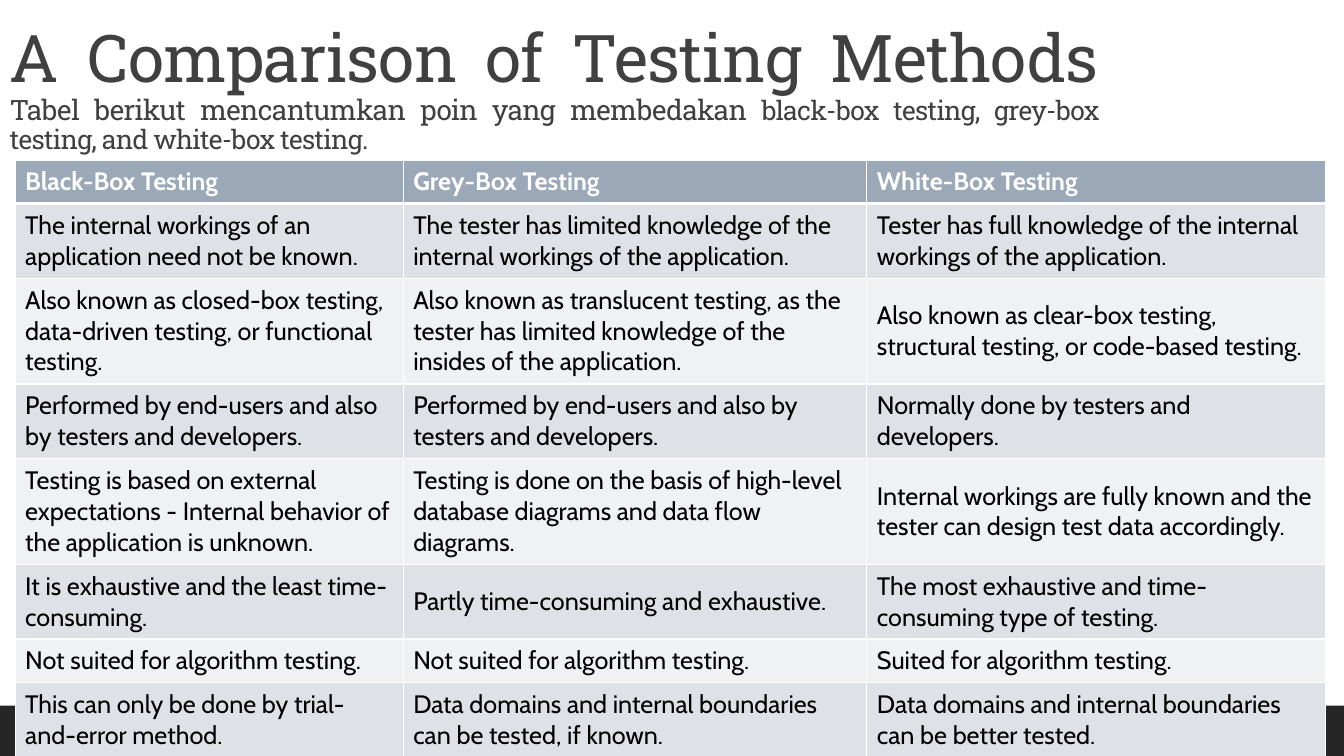
from lxml import etree
from pptx import Presentation
from pptx.dml.color import RGBColor
from pptx.enum.shapes import MSO_SHAPE as Shape
from pptx.enum.text import MSO_ANCHOR as Anchor, PP_ALIGN as Align
from pptx.oxml.ns import qn
from pptx.util import Inches, Pt

COLUMNS, ROWS = 80, 45
UNIT = Inches(1) / 6  # one grid column or row

WHITE = RGBColor(0xFF, 0xFF, 0xFF)
BLACK = RGBColor(0x00, 0x00, 0x00)
TITLE_GREY = RGBColor(0x40, 0x40, 0x40)
BAR_GREY = RGBColor(0x26, 0x26, 0x26)
HEADER_BLUE = RGBColor(0x9B, 0xA8, 0xB7)
BANDS = (RGBColor(0xEF, 0xF1, 0xF3), RGBColor(0xDE, 0xE1, 0xE6))

TITLE_LINES = [
    [("A Comparison of Testing Methods", 47)],
    [("Tabel berikut mencantumkan poin yang membedakan ", 20),
     ("black-box testing, grey-box testing, and white-box testing.", 19)],
]

COLUMN_WIDTHS = (23.1, 27.6, 27.3)
FIRST_LINE, EXTRA_LINE = 2.58, 1.86

# Each row: the number of text lines it holds, then its three cells
COMPARISON = [
    (1, "Black-Box Testing", "Grey-Box Testing", "White-Box Testing"),
    (2, "The internal workings of an application need not be known.",
     "The tester has limited knowledge of the internal workings of the application.",
     "Tester has full knowledge of the internal workings of the application."),
    (3, "Also known as closed-box testing, data-driven testing, or functional testing.",
     "Also known as translucent testing, as the tester has limited knowledge of the "
     "insides of the application.",
     "Also known as clear-box testing, structural testing, or code-based testing."),
    (2, "Performed by end-users and also by testers and developers.",
     "Performed by end-users and also by testers and developers.",
     "Normally done by testers and developers."),
    (3, "Testing is based on external expectations - Internal behavior of the "
     "application is unknown.",
     "Testing is done on the basis of high-level database diagrams and data flow diagrams.",
     "Internal workings are fully known and the tester can design test data accordingly."),
    (2, "It is exhaustive and the least time-consuming.",
     "Partly time-consuming and exhaustive.",
     "The most exhaustive and time-consuming type of testing."),
    (1, "Not suited for algorithm testing.",
     "Not suited for algorithm testing.",
     "Suited for algorithm testing."),
    (2, "This can only be done by trial-and-error method.",
     "Data domains and internal boundaries can be tested, if known.",
     "Data domains and internal boundaries can be better tested."),
]


def grid(*lengths):
    return [round(length * UNIT) for length in lengths]


def add_text(paragraph, text, *, font, size, color, bold=False, spacing=None):
    run = paragraph.add_run()
    run.text = text
    run.font.name = font
    run.font.size = Pt(size)
    run.font.bold = bold
    run.font.color.rgb = color
    if spacing is not None:
        run._r.get_or_add_rPr().set("spc", str(round(spacing * 100)))


def set_borders(cell, color, **widths):
    """Draw the cell's borders; widths are points keyed by L, R, T and B."""
    properties = cell._tc.get_or_add_tcPr()
    for position, (side, width) in enumerate(widths.items()):
        line = etree.Element(qn(f"a:ln{side}"), w=str(Pt(width)))
        fill = etree.SubElement(line, qn("a:solidFill"))
        etree.SubElement(fill, qn("a:srgbClr"), val=str(color))
        properties.insert(position, line)


class ComparisonSlide:
    title_font = "Roboto Slab"
    table_font = "Cabin"
    table_size = 18

    def __init__(self, presentation):
        self.slide = presentation.slides.add_slide(presentation.slide_layouts[6])

    def bar(self, left, top, width, height, color):
        shape = self.slide.shapes.add_shape(
            Shape.RECTANGLE, *grid(left, top, width, height))
        shape.shadow.inherit = False
        shape.fill.solid()
        shape.fill.fore_color.rgb = color
        shape.line.fill.background()

    def title(self, left, top, width, height, lines):
        frame = self.slide.shapes.add_textbox(*grid(left, top, width, height)).text_frame
        frame.word_wrap = True
        frame.vertical_anchor = Anchor.BOTTOM
        paragraph = frame.paragraphs[0]
        paragraph.alignment = Align.JUSTIFY
        paragraph.line_spacing = 0.9
        for number, line in enumerate(lines):
            if number:
                paragraph.add_line_break()
            for text, size in line:
                add_text(paragraph, text, font=self.title_font, size=size,
                         color=TITLE_GREY, spacing=-0.5)

    def table(self, left, top, column_widths, rows):
        heights = [FIRST_LINE + EXTRA_LINE * (lines - 1) for lines, *_ in rows]
        table = self.slide.shapes.add_table(
            len(rows), len(column_widths),
            *grid(left, top, sum(column_widths), sum(heights))).table
        for column, width in zip(table.columns, grid(*column_widths)):
            column.width = width
        for row, height in zip(table.rows, grid(*heights)):
            row.height = height
        for row_number, (_, *texts) in enumerate(rows):
            for column_number, text in enumerate(texts):
                self.cell(table.cell(row_number, column_number), text, row_number)

    def cell(self, cell, text, row_number):
        header = row_number == 0
        cell.vertical_anchor = Anchor.MIDDLE
        cell.fill.solid()
        cell.fill.fore_color.rgb = HEADER_BLUE if header else BANDS[row_number % 2]
        set_borders(cell, WHITE, L=1, R=1, T=3 if row_number == 1 else 1,
                    B=3 if header else 1)
        add_text(cell.text_frame.paragraphs[0], text, font=self.table_font,
                 size=self.table_size, color=WHITE if header else BLACK, bold=header)


def main():
    presentation = Presentation()
    presentation.slide_width, presentation.slide_height = grid(COLUMNS, ROWS)
    slide = ComparisonSlide(presentation)
    slide.bar(0, 42, COLUMNS, 3, BAR_GREY)
    slide.title(0, 0, 66, 9.54, TITLE_LINES)
    slide.table(0.9, 9.54, COLUMN_WIDTHS, COMPARISON)
    presentation.save("out.pptx")


if __name__ == "__main__":
    main()
